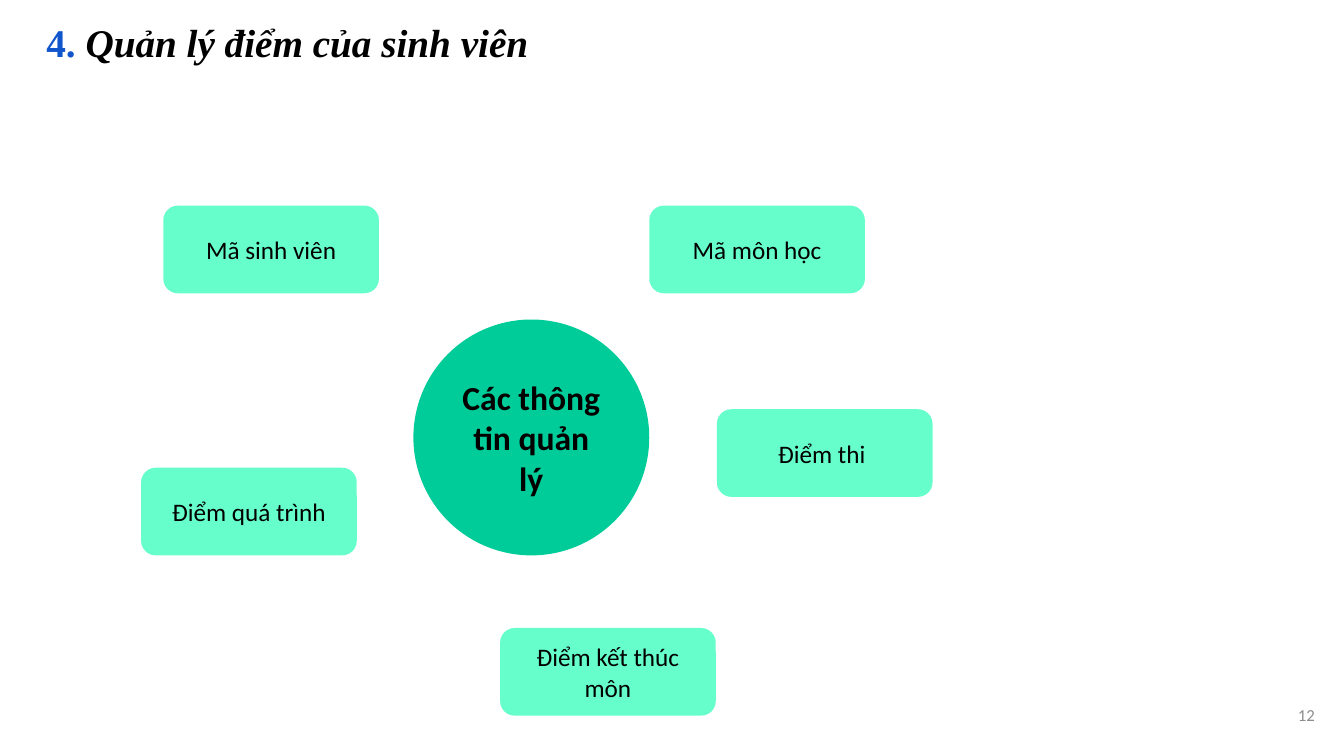
from dataclasses import dataclass

from pptx import Presentation
from pptx.dml.color import RGBColor
from pptx.enum import shapes, text
from pptx.util import Inches, Pt


@dataclass(frozen=True)
class Theme:
    """Colours, fonts and type sizes of the slide."""
    ink: str = "000000"
    accent: str = "1155CC"
    muted: str = "8C8C8C"
    hub: str = "00CC99"
    topic: str = "66FFCC"
    heading_font: str = "Times New Roman"
    body_font: str = "Calibri"
    heading_size: int = 28
    hub_size: int = 24
    topic_size: int = 18
    number_size: int = 12


THEME = Theme()
WIDTH, HEIGHT = Inches(13.33), Inches(7.5)
TOPIC_SIZE = (16.05, 11.6)
TOPICS = [
    ("Mã sinh viên", 12.15, 27.2),
    ("Mã môn học", 48.31, 27.2),
    ("Điểm quá trình", 10.5, 61.87),
    ("Điểm thi ", 53.34, 54.13),
    ("Điểm kết thúc môn", 37.21, 83.07),
]


def place(left, top, width, height):
    """Turn percentages of the slide into lengths."""
    return [int(share * side / 100) for share, side in
            zip((left, top, width, height), (WIDTH, HEIGHT) * 2)]


def add_run(paragraph, words, size, colour, font=THEME.body_font, bold=False, italic=False):
    """Add one styled run to a paragraph."""
    run = paragraph.add_run()
    run.text = words
    run.font.name = font
    run.font.size = Pt(size)
    run.font.bold = bold
    run.font.italic = italic
    run.font.color.rgb = RGBColor.from_string(colour)


def add_text_box(slide, area, anchor, left_indent=0):
    """Add a wrapping text box and return its first paragraph."""
    frame = slide.shapes.add_textbox(*place(*area)).text_frame
    frame.word_wrap = True
    frame.vertical_anchor = anchor
    frame.margin_top = frame.margin_right = frame.margin_bottom = Inches(0.13)
    frame.margin_left = Inches(0.13 + left_indent)
    return frame.paragraphs[0]


def add_bubble(slide, kind, area, fill, words, size, bold=False):
    """Add a filled shape with centred text."""
    shape = slide.shapes.add_shape(kind, *place(*area))
    shape.shadow.inherit = False
    shape.fill.solid()
    shape.fill.fore_color.rgb = RGBColor.from_string(fill)
    shape.line.fill.background()
    frame = shape.text_frame
    frame.word_wrap = True
    frame.vertical_anchor = text.MSO_ANCHOR.MIDDLE
    paragraph = frame.paragraphs[0]
    paragraph.alignment = text.PP_ALIGN.CENTER
    add_run(paragraph, words, size, THEME.ink, bold=bold)


def add_heading(slide, number, words):
    """Add the numbered slide heading."""
    paragraph = add_text_box(slide, (1.05, 0, 60.3, 10.4), text.MSO_ANCHOR.BOTTOM, 0.19)
    paragraph.line_spacing = 0.9
    add_run(paragraph, number, THEME.heading_size, THEME.accent, THEME.heading_font, bold=True)
    add_run(paragraph, words, THEME.heading_size, THEME.ink, THEME.heading_font,
            bold=True, italic=True)


def add_page_number(slide, number):
    """Add the page number at the bottom right."""
    paragraph = add_text_box(slide, (92.8, 90.8, 6, 7.6), text.MSO_ANCHOR.MIDDLE)
    paragraph.alignment = text.PP_ALIGN.RIGHT
    add_run(paragraph, number, THEME.number_size, THEME.muted)


def main():
    """Build and save the slide."""
    presentation = Presentation()
    presentation.slide_width, presentation.slide_height = WIDTH, HEIGHT
    slide = presentation.slides.add_slide(presentation.slide_layouts[6])
    add_heading(slide, "4. ", "Quản lý điểm của sinh viên")
    add_page_number(slide, "12")
    add_bubble(slide, shapes.MSO_SHAPE.OVAL, (30.76, 42.27, 17.55, 31.2), THEME.hub,
               "Các thông tin quản lý", THEME.hub_size, bold=True)
    for words, left, top in TOPICS:
        add_bubble(slide, shapes.MSO_SHAPE.ROUNDED_RECTANGLE, (left, top, *TOPIC_SIZE),
                   THEME.topic, words, THEME.topic_size)
    presentation.save("out.pptx")


if __name__ == "__main__":
    main()
